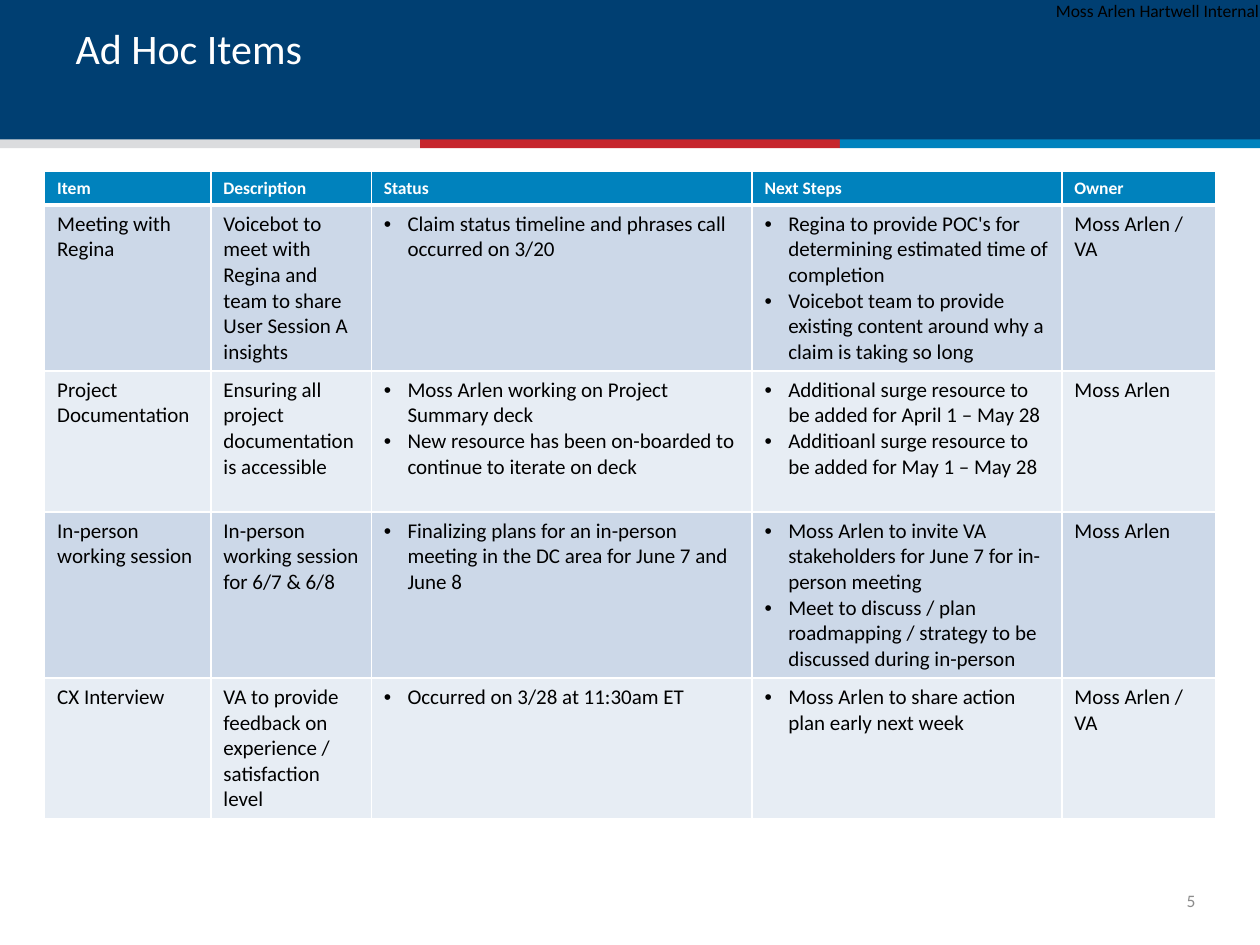
import pptx
import pptx.util
import pptx.dml.color
import pptx.enum.shapes
import pptx.enum.text
import pptx.oxml
import pptx.oxml.ns

Pt = pptx.util.Pt
ANCHOR = pptx.enum.text.MSO_ANCHOR
ALIGN = pptx.enum.text.PP_ALIGN

FONT = "Calibri"
NAVY, BLUE, WHITE, BLACK, GREY = "003F72", "0082BD", "FFFFFF", "000000", "8C8C8C"
STRIPES = ["DBDCDE", "C6262D", BLUE]
ROW_FILLS = ["CCD8E8", "E7EDF4"]

TITLE = "Ad Hoc Items"
MARKING = "Moss Arlen Hartwell Internal"
PAGE_NUMBER = "5"
HEADINGS = ["Item", "Description", "Status", "Next Steps", "Owner"]
ITEMS = [
    ["Meeting with Regina",
     "Voicebot to meet with Regina and team to share User Session A insights",
     ["Claim status timeline and phrases call occurred on 3/20"],
     ["Regina to provide POC's for determining estimated time of completion",
      "Voicebot team to provide existing content around why a claim is taking so long"],
     "Moss Arlen / VA"],
    ["Project Documentation",
     "Ensuring all project documentation is accessible",
     ["Moss Arlen working on Project Summary deck",
      "New resource has been on-boarded to continue to iterate on deck"],
     ["Additional surge resource to be added for April 1 – May 28",
      "Additioanl surge resource to be added for May 1 – May 28"],
     "Moss Arlen"],
    ["In-person working session",
     "In-person working session for 6/7 & 6/8",
     ["Finalizing plans for an in-person meeting in the DC area for June 7 and June 8"],
     ["Moss Arlen to invite VA stakeholders for June 7 for in-person meeting",
      "Meet to discuss / plan roadmapping / strategy to be discussed during in-person"],
     "Moss Arlen"],
    ["CX Interview",
     "VA to provide feedback on experience / satisfaction level",
     ["Occurred on 3/28 at 11:30am ET"],
     ["Moss Arlen to share action plan early next week"],
     "Moss Arlen / VA"],
]
COLUMN_WIDTHS = [95, 91.7, 217.6, 177, 87.7]
ROW_HEIGHTS = [19.4, 94.9, 80.6, 94.9, 80.6]
PAGE_WIDTH, PAGE_HEIGHT = 720, 540


def color(value):
    return pptx.dml.color.RGBColor.from_string(value)


def add_span(para, text, size, ink, bold=False):
    span = para.add_run()
    span.text = text
    span.font.name = FONT
    span.font.size = Pt(size)
    span.font.bold = bold
    span.font.color.rgb = color(ink)


def add_bar(page, left, top, width, height, fill):
    bar = page.shapes.add_shape(pptx.enum.shapes.MSO_SHAPE.RECTANGLE,
                                Pt(left), Pt(top), Pt(width), Pt(height))
    bar.shadow.inherit = False
    bar.fill.solid()
    bar.fill.fore_color.rgb = color(fill)
    bar.line.fill.background()


def add_label(page, left, top, width, height, text, ink, anchor, align, wrap):
    box = page.shapes.add_textbox(Pt(left), Pt(top), Pt(width), Pt(height))
    frame = box.text_frame
    frame.word_wrap = wrap
    frame.vertical_anchor = anchor
    frame.margin_left = frame.margin_right = frame.margin_top = frame.margin_bottom = 0
    para = frame.paragraphs[0]
    para.alignment = align
    add_span(para, text, 10, ink)


def add_bullet(para):
    properties = para._p.get_or_add_pPr()
    properties.set("marL", str(Pt(13.5)))
    properties.set("indent", str(-Pt(13.5)))
    namespace = pptx.oxml.ns.nsdecls("a")
    properties.append(pptx.oxml.parse_xml(f'<a:buFont {namespace} typeface="Arial"/>'))
    properties.append(pptx.oxml.parse_xml(f'<a:buChar {namespace} char="•"/>'))


def set_borders(cell, widths):
    properties = cell._tc.get_or_add_tcPr()
    for side, width in zip("LRTB", widths):
        properties.append(pptx.oxml.parse_xml(
            f'<a:ln{side} {pptx.oxml.ns.nsdecls("a")} w="{Pt(width)}">'
            f'<a:solidFill><a:srgbClr val="{WHITE}"/></a:solidFill></a:ln{side}>'))


def fill_cell(cell, content, fill, size, ink, bold, borders):
    set_borders(cell, borders)
    cell.fill.solid()
    cell.fill.fore_color.rgb = color(fill)
    bulleted = isinstance(content, list)
    for index, text in enumerate(content if bulleted else [content]):
        frame = cell.text_frame
        para = frame.add_paragraph() if index else frame.paragraphs[0]
        if bulleted:
            add_bullet(para)
        add_span(para, text, size, ink, bold)


def add_title(page):
    title = page.shapes.title
    page.shapes.element.append(title.element)
    title.left, title.top, title.width, title.height = Pt(36), Pt(10), Pt(648), Pt(64)
    frame = title.text_frame
    frame.auto_size = pptx.enum.text.MSO_AUTO_SIZE.NONE
    frame.vertical_anchor = ANCHOR.BOTTOM
    para = frame.paragraphs[0]
    para.alignment = ALIGN.LEFT
    add_span(para, TITLE, 24, WHITE)
    para.add_line_break()
    para.font.size = Pt(24)
    add_span(para, "", 24, WHITE)


def add_items(page):
    table = page.shapes.add_table(
        len(ROW_HEIGHTS), len(COLUMN_WIDTHS), Pt(25.5), Pt(97.8),
        Pt(sum(COLUMN_WIDTHS)), Pt(sum(ROW_HEIGHTS))).table
    for column, width in zip(table.columns, COLUMN_WIDTHS):
        column.width = Pt(width)
    for row, height in zip(table.rows, ROW_HEIGHTS):
        row.height = Pt(height)
    for index, text in enumerate(HEADINGS):
        fill_cell(table.cell(0, index), text, BLUE, 10, WHITE, True, (1, 1, 1, 3))
    for row, item in enumerate(ITEMS, 1):
        top = 3 if row == 1 else 1
        for index, content in enumerate(item):
            fill_cell(table.cell(row, index), content, ROW_FILLS[(row - 1) % 2],
                      12, BLACK, False, (1, 1, top, 1))


def main():
    deck = pptx.Presentation()
    deck.slide_width, deck.slide_height = Pt(PAGE_WIDTH), Pt(PAGE_HEIGHT)
    page = deck.slides.add_slide(deck.slide_layouts[5])
    add_bar(page, 0, 0, PAGE_WIDTH, 82, NAVY)
    stripe_width = PAGE_WIDTH / len(STRIPES)
    for index, fill in enumerate(STRIPES):
        add_bar(page, index * stripe_width, 79.7, stripe_width, 5, fill)
    add_label(page, 603.4, 0, 118.6, 12.2, MARKING, BLACK, ANCHOR.TOP, ALIGN.LEFT, False)
    add_title(page)
    add_label(page, 663.8, 500.4, 19.4, 28.8, PAGE_NUMBER, GREY,
              ANCHOR.MIDDLE, ALIGN.RIGHT, True)
    add_items(page)
    deck.save("out.pptx")


if __name__ == "__main__":
    main()
